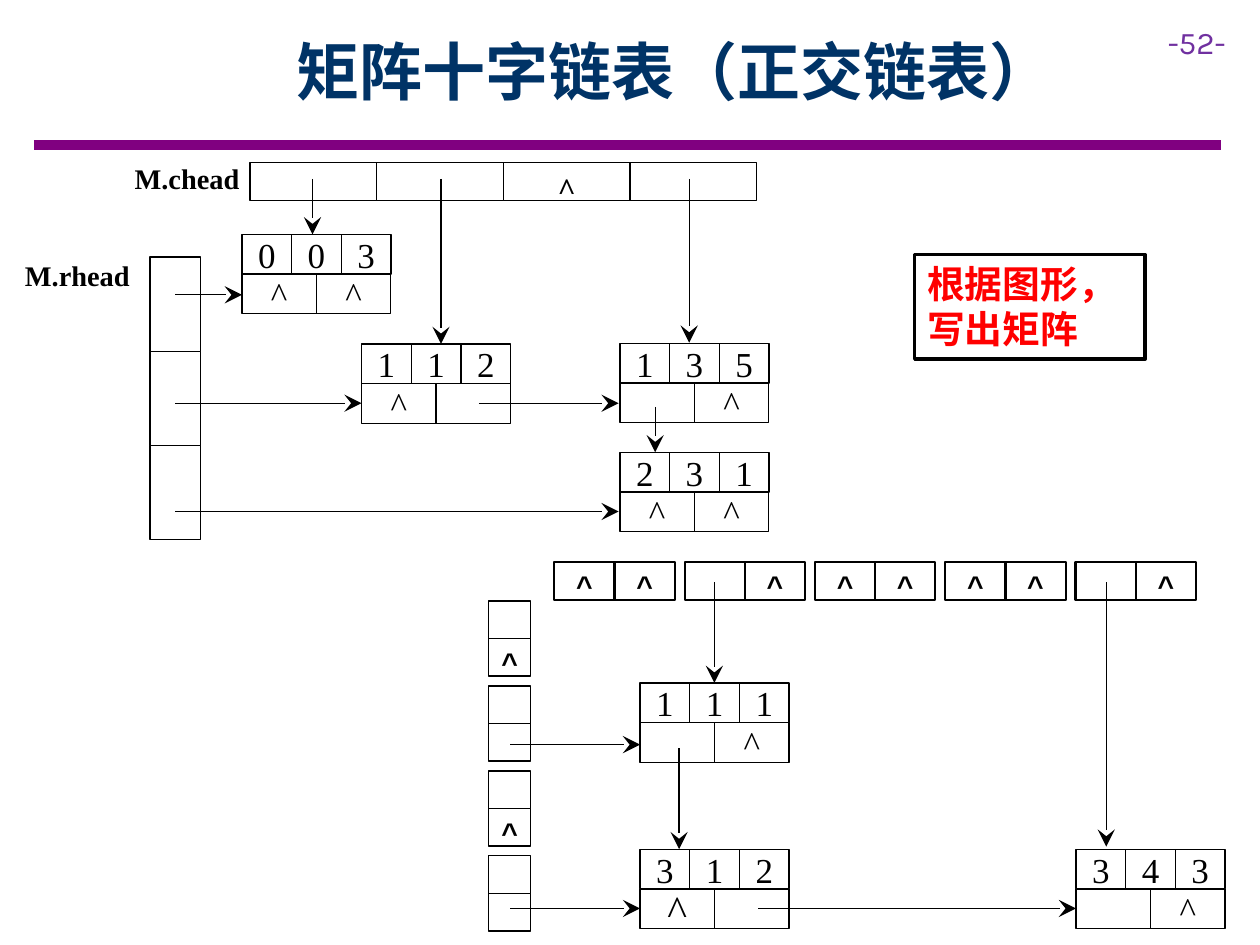
from lxml.etree import SubElement
from pptx import Presentation
from pptx.dml.color import RGBColor
from pptx.enum.shapes import MSO_CONNECTOR as Conn, MSO_SHAPE as Form
from pptx.enum.text import MSO_ANCHOR as Anchor, PP_ALIGN as Align
from pptx.oxml.ns import qn
from pptx.util import Inches, Pt

COLS, ROWS = 100, 75  # the slide is 10 x 7.5 inches
SERIF, SANS, HAN = "Times New Roman", "Arial", "Noto Sans CJK SC"
BLACK, WHITE = "000000", "FFFFFF"


def hue(code):
    return RGBColor.from_string(code)


class Board:
    """Draws on one slide; lengths are columns and rows of the grid."""

    def __init__(self, deck):
        self.slide = deck.slides.add_slide(deck.slide_layouts[5])
        self.shapes = self.slide.shapes
        self.col = deck.slide_width / COLS
        self.row = deck.slide_height / ROWS

    def area(self, x, y, w, h):
        return [round(n) for n in
                (x * self.col, y * self.row, w * self.col, h * self.row)]

    def letter(self, shape, text, size, face, color=BLACK, bold=False,
               align=Align.LEFT, anchor=Anchor.TOP, pad=None, wrap=True):
        """Put styled text into a shape."""
        frame = shape.text_frame
        frame.text = text
        frame.word_wrap = wrap
        frame.vertical_anchor = anchor
        if pad is not None:
            frame.margin_left = frame.margin_right = Inches(pad)
            frame.margin_top = frame.margin_bottom = Inches(pad)
        para = frame.paragraphs[0]
        para.alignment = align
        for run in para.runs:
            font = run.font
            font.size, font.bold, font.name = Pt(size), bold, face
            font.color.rgb = hue(color)
            if face == HAN:
                SubElement(run.font._element, qn("a:ea"), typeface=face)

    def title(self, spot, text):
        head = self.shapes.title
        head.left, head.top, head.width, head.height = self.area(*spot)
        self.letter(head, text, 36, HAN, "003366", True,
                    Align.CENTER, Anchor.MIDDLE, 0.04)

    def label(self, spot, text, size, face, **style):
        box = self.shapes.add_textbox(*self.area(*spot))
        self.letter(box, text, size, face, **style)

    def cell(self, x, y, w, h, edge=0.75, fill=WHITE):
        box = self.shapes.add_shape(Form.RECTANGLE, *self.area(x, y, w, h))
        box.shadow.inherit = False
        if fill:
            box.fill.solid()
            box.fill.fore_color.rgb = hue(fill)
        else:
            box.fill.background()
        box.line.color.rgb = hue(BLACK)
        box.line.width = Pt(edge)
        return box

    def slot(self, x, y, w, h, mark="", size=16.2, face=SANS, bold=True,
             edge=0.75):
        """A cell of a head list, empty or with a null mark."""
        box = self.cell(x, y, w, h, edge)
        if mark:
            self.letter(box, mark, size, face, bold=bold, align=Align.CENTER)

    def node(self, x, y, keys, links, size=20):
        """Row, column and value above the down and right links."""
        wide, tall = 11.83, 3.15
        for line, marks in enumerate((keys, links)):
            step = wide / len(marks)
            for i, mark in enumerate(marks):
                box = self.cell(x + i * step, y + line * tall, step, tall,
                                fill=None)
                if mark.strip():
                    self.letter(box, mark, size if line else 20, SERIF,
                                align=Align.CENTER, anchor=Anchor.MIDDLE,
                                pad=0.1)

    def line(self, x, y, to_x, to_y, color=BLACK, width=0.75, head=True):
        start, end = self.area(x, y, 0, 0)[:2], self.area(to_x, to_y, 0, 0)[:2]
        link = self.shapes.add_connector(Conn.STRAIGHT, *start, *end)
        link.line.color.rgb = hue(color)
        link.line.width = Pt(width)
        shape = link._element.spPr
        if head:
            SubElement(shape.find(qn("a:ln")), qn("a:tailEnd"),
                       type="stealth", w="lg", len="lg")
        SubElement(shape, qn("a:effectLst"))


def top(board):
    board.line(2.7, 11.5, 96.9, 11.5, "800080", 6, head=False)
    board.label((91.7, 1.3, 8.3, 4), "-52-", 18, "Karla", color="7030A0")
    board.title((7.5, 2.2, 92.1, 6.8), "矩阵十字链表（正交链表）")
    task = board.cell(72.6, 20.2, 18.3, 8.3, 2)
    board.letter(task, "根据图形，写出矩阵", 21.6, HAN, "FF0000", True)


def upper(board):
    for i, mark in enumerate(("", "", "^", "")):
        board.slot(19.85 + i * 10.05, 12.9, 10.05, 3, mark, 18, SERIF)
    for i in range(3):
        board.slot(11.9, 20.4 + i * 7.48, 4, 7.48)
    board.label((9.7, 12.3, 10.4, 3.7), "M.chead", 16.2, SERIF, bold=True,
                anchor=Anchor.MIDDLE, wrap=False)
    board.label((1, 20, 10.4, 3.7), "M.rhead", 16.2, SERIF, bold=True,
                wrap=False)
    for x, y, keys, links in ((19.2, 18.6, "003", "^^"),
                              (28.7, 27.3, "112", "^ "),
                              (49.2, 27.25, "135", " ^"),
                              (49.2, 35.9, "231", "^^")):
        board.node(x, y, keys, links)
    for ends in ((13.9, 23.4, 19.2, 23.4), (13.9, 32, 28.7, 32),
                 (13.9, 40.6, 49.1, 40.6), (38, 32, 49.1, 32),
                 (24.8, 14.2, 24.8, 18.6), (35, 14.2, 35, 27.3),
                 (54.7, 14.2, 54.7, 27.2), (52, 32.3, 52, 35.9)):
        board.line(*ends)


def lower(board):
    for i, pair in enumerate(("^^", " ^", "^^", "^^", " ^")):
        for j, mark in enumerate(pair):
            board.slot(44 + i * 10.34 + j * 4.78, 44.6, 4.78, 3,
                       mark.strip(), edge=1.25)
    for i, mark in enumerate(("^", "", "^", "")):
        y = 47.7 + i * 6.74
        board.slot(38.8, y, 3.3, 2.98)
        board.slot(38.8, y + 2.98, 3.3, 2.98, mark)
    board.node(50.8, 54.2, "111", " ^")
    board.node(50.8, 67.4, "312", "^ ", 24)
    board.node(85.4, 67.4, "343", " ^")
    for ends in ((40.5, 59.1, 50.8, 59.1), (40.5, 72.1, 50.8, 72.1),
                 (60.2, 72.1, 85.4, 72.1), (56.7, 46.2, 56.7, 54.2),
                 (53.9, 59.4, 53.9, 67.4), (87.8, 46.2, 87.8, 67.2)):
        board.line(*ends)


def main():
    deck = Presentation()
    deck.slide_width, deck.slide_height = Inches(10), Inches(7.5)
    board = Board(deck)
    top(board)
    upper(board)
    lower(board)
    deck.save("out.pptx")


if __name__ == "__main__":
    main()
